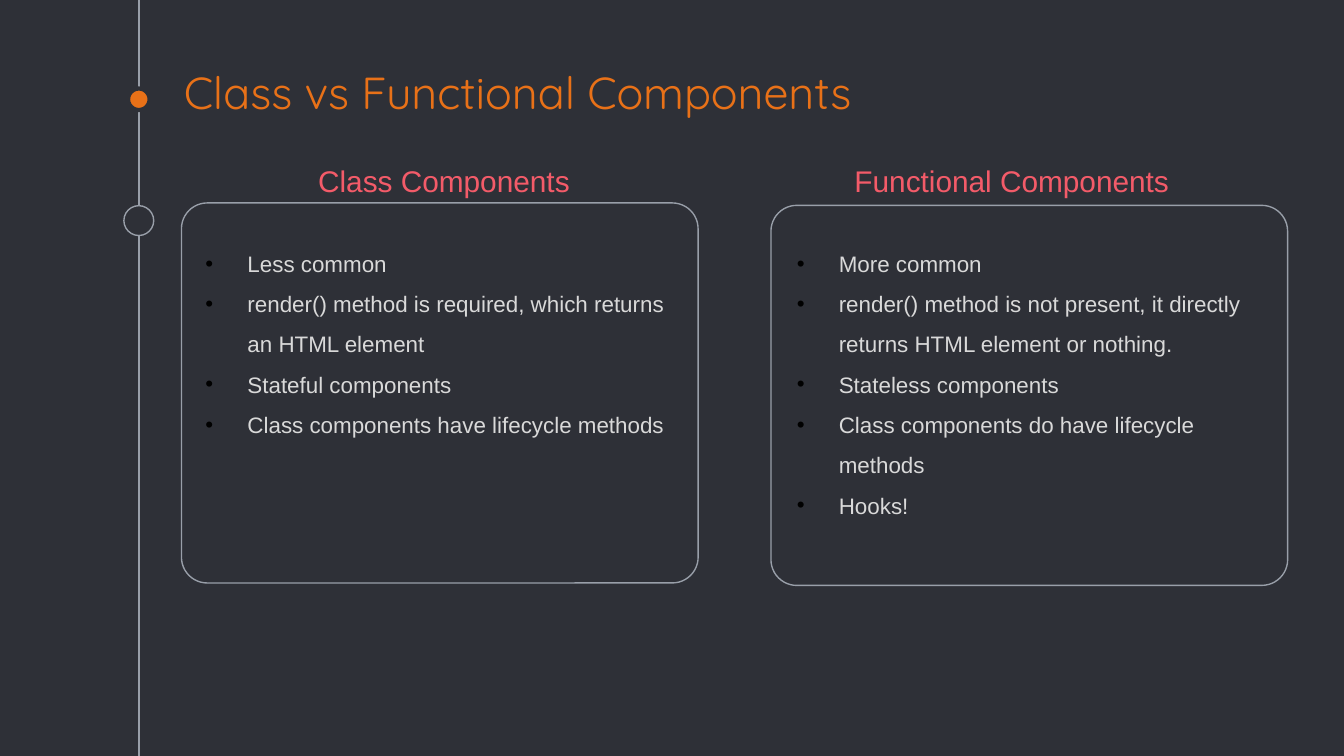
from lxml import etree
from pptx import Presentation
from pptx import util as u
from pptx.dml.color import RGBColor
from pptx.enum import shapes, text
from pptx.oxml.ns import qn

# Content
TITLE = "Class vs Functional Components"
COLUMNS = [
    dict(heading="Class Components", heading_box=(163.4, 151.2), card=(97.2, 108.7),
         list_box=(103, 135.4),
         points=["Less common",
                 "render() method is required, which returns an HTML element",
                 "Stateful components",
                 "Class components have lifecycle methods"]),
    dict(heading="Functional Components", heading_box=(450.7, 185), card=(413, 110),
         list_box=(419.8, 179.3),
         points=["More common",
                 "render() method is not present, it directly returns HTML element or nothing.",
                 "Stateless components",
                 "Class components do have lifecycle methods",
                 "Hooks!"]),
]

THEME = dict(bg="2E3037", line="999FA9", accent="E87118", heading="F35B69",
             body="D9D9D9", bullet="000000", title_font="Quicksand", font="Arial",
             title_size=24, heading_size=16, body_size=12)

# Layout in points
W, H = 720, 405
RAIL_X = 74.4
CARD_W, CARD_H = 276.8, 203.6
HEADING_Y, LIST_Y = 83.5, 123.1
INDENT = 22.5


def rgb(name):
    return RGBColor.from_string(THEME[name])


def add_shape(s, kind, x, y, w, h, fill, line, width):
    sp = s.shapes.add_shape(kind, u.Pt(x), u.Pt(y), u.Pt(w), u.Pt(h))
    sp.shadow.inherit = False
    if fill:
        sp.fill.solid()
        sp.fill.fore_color.rgb = rgb(fill)
    else:
        sp.fill.background()
    sp.line.color.rgb = rgb(line)
    sp.line.width = u.Pt(width)
    return sp


def add_dot(s, cy, size, fill, line, width):
    add_shape(s, shapes.MSO_SHAPE.OVAL, RAIL_X - size / 2, cy - size / 2,
              size, size, fill, line, width)


def add_text(s, x, y, w, h, wrap=True):
    tf = s.shapes.add_textbox(u.Pt(x), u.Pt(y), u.Pt(w), u.Pt(h)).text_frame
    tf.word_wrap = wrap
    return tf


def add_run(p, words, size, color, font="font"):
    r = p.add_run()
    r.text = words
    r.font.size = u.Pt(THEME[size])
    r.font.name = THEME[font]
    r.font.color.rgb = rgb(color)


def add_bullet(p):
    pPr = p._p.get_or_add_pPr()
    pPr.set("marL", str(u.Pt(INDENT)))
    pPr.set("indent", str(-u.Pt(INDENT)))
    clr = etree.SubElement(pPr, qn("a:buClr"))
    etree.SubElement(clr, qn("a:srgbClr"), val=THEME["bullet"])
    etree.SubElement(pPr, qn("a:buFont"), typeface=THEME["font"])
    etree.SubElement(pPr, qn("a:buChar"), char="•")


prs = Presentation()
prs.slide_width, prs.slide_height = u.Pt(W), u.Pt(H)
s = prs.slides.add_slide(prs.slide_layouts[6])
s.background.fill.solid()
s.background.fill.fore_color.rgb = rgb("bg")

# Timeline rail with its two markers
rail = s.shapes.add_connector(shapes.MSO_CONNECTOR.STRAIGHT,
                              u.Pt(RAIL_X), 0, u.Pt(RAIL_X), u.Pt(H))
rail.line.color.rgb = rgb("line")
rail.line.width = u.Pt(0.75)
etree.SubElement(rail._element.spPr, qn("a:effectLst"))
add_dot(s, 53.2, 11.5, "accent", "bg", 2.25)
add_dot(s, 118.2, 16, "bg", "line", 0.75)

# Title
tf = add_text(s, 91.4, 43.2, 540, 27.4)
tf.vertical_anchor = text.MSO_ANCHOR.BOTTOM
tf.margin_left = tf.margin_right = tf.margin_top = tf.margin_bottom = u.Pt(7.2)
add_run(tf.paragraphs[0], TITLE, "title_size", "accent", "title_font")

# Comparison columns: card, heading, bullet list
for col in COLUMNS:
    card = add_shape(s, shapes.MSO_SHAPE.ROUNDED_RECTANGLE, *col["card"],
                     CARD_W, CARD_H, None, "line", 0.75)
    card.adjustments[0] = 0.068

    x, w = col["heading_box"]
    tf = add_text(s, x, HEADING_Y, w, 26.6, wrap=False)
    add_run(tf.paragraphs[0], col["heading"], "heading_size", "heading")

    x, h = col["list_box"]
    tf = add_text(s, x, LIST_Y, 263.5, h)
    for i, point in enumerate(col["points"]):
        p = tf.add_paragraph() if i else tf.paragraphs[0]
        add_bullet(p)
        p.line_spacing = 1.5
        add_run(p, point, "body_size", "body")

prs.save("out.pptx")
